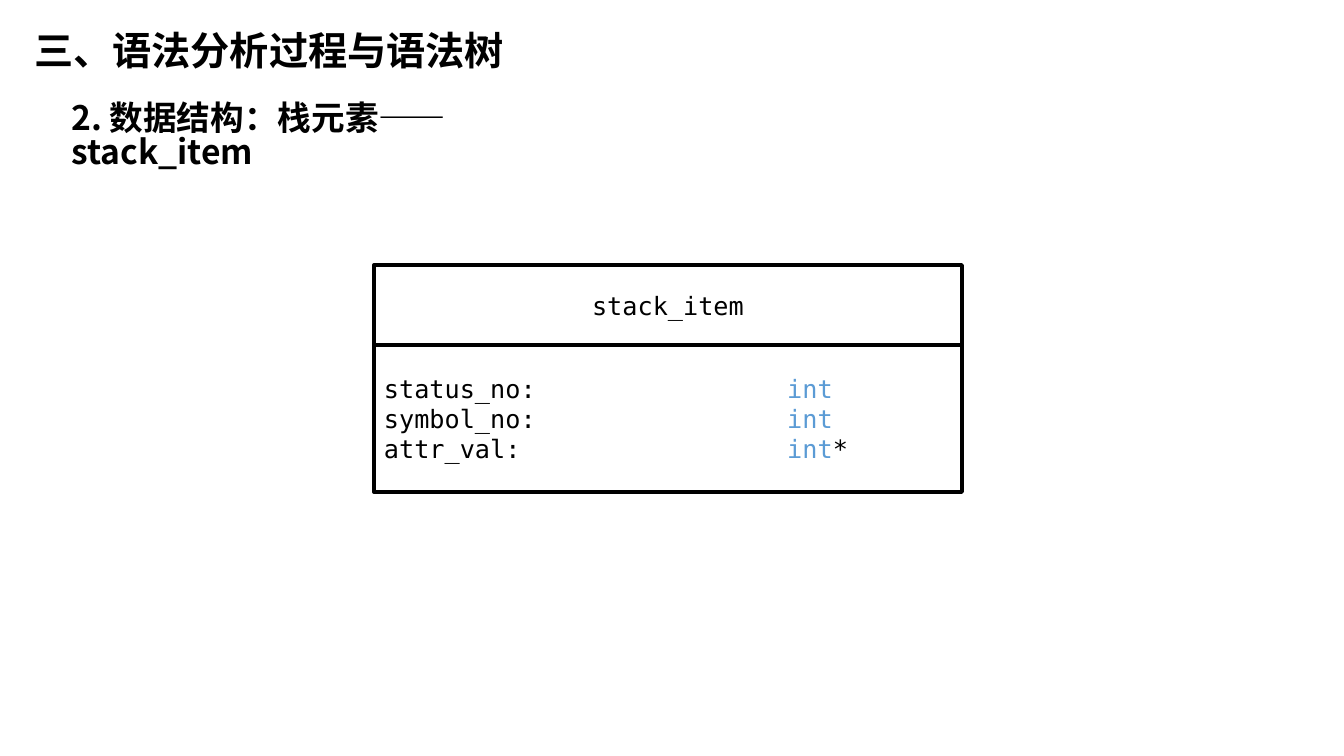
from pptx import Presentation
from pptx.dml.color import RGBColor
from pptx.enum import shapes, text
from pptx.oxml.ns import qn
from pptx.util import Inches, Pt
from lxml import etree

BLACK = RGBColor(0x00, 0x00, 0x00)
WHITE = RGBColor(0xFF, 0xFF, 0xFF)
BLUE = RGBColor(0x5B, 0x9B, 0xD5)
SANS = "Noto Sans CJK SC"
MONO = "DejaVu Sans Mono"
FIELDS = [("status_no:", ""), ("symbol_no:", ""), ("attr_val:", "*")]


def add_head(slide, words, box, size, wrap):
    """Add a bold heading in a text box."""
    frame = slide.shapes.add_textbox(*map(Inches, box)).text_frame
    frame.word_wrap = wrap
    para = frame.paragraphs[0]
    para.line_spacing = 0.85
    run = para.add_run()
    run.text = words
    font = run.font
    font.name, font.size, font.bold = SANS, Pt(size), True
    font.color.rgb = BLACK
    east = etree.SubElement(run._r.get_or_add_rPr(), qn("a:ea"))
    east.set("typeface", SANS)


def add_cell(group, top, height):
    """Add one outlined compartment and return its text frame."""
    cell = group.shapes.add_shape(
        shapes.MSO_SHAPE.RECTANGLE,
        Inches(3.71), Inches(top), Inches(5.83), Inches(height))
    cell.shadow.inherit = False
    cell.fill.solid()
    cell.fill.fore_color.rgb = WHITE
    cell.line.color.rgb = BLACK
    cell.line.width = Pt(3)
    frame = cell.text_frame
    frame.vertical_anchor = text.MSO_ANCHOR.MIDDLE
    return frame


def style(para, align):
    """Set the code font and alignment of a paragraph."""
    para.alignment = align
    para.font.name, para.font.size = MONO, Pt(18)
    para.font.color.rgb = BLACK


def add_field(para, name, mark):
    """Write a field name, its type and an optional pointer mark."""
    style(para, text.PP_ALIGN.LEFT)
    tabs = etree.Element(qn("a:tabLst"))
    for stop in (2, 3, 4):
        etree.SubElement(tabs, qn("a:tab"), pos=str(Inches(stop)), algn="l")
    para._p.get_or_add_pPr().insert(0, tabs)
    for words, color in ((name + "\t\t\t", BLACK), ("int", BLUE), (mark, BLACK)):
        if words:
            run = para.add_run()
            run.text = words
            run.font.color.rgb = color


def main():
    """Build the slide and save it."""
    deck = Presentation()
    deck.slide_width, deck.slide_height = Inches(13.33), Inches(7.5)
    slide = deck.slides.add_slide(deck.slide_layouts[6])
    add_head(slide, "三、语法分析过程与语法树", (0.24, 0.28, 4.94, 0.57), 28, False)
    add_head(slide, "2. 数据结构：栈元素——stack_item",
             (0.61, 0.97, 5.53, 0.5), 24, True)
    group = slide.shapes.add_group_shape()
    name = add_cell(group, 2.63, 0.79).paragraphs[0]
    name.text = "stack_item"
    style(name, text.PP_ALIGN.CENTER)
    body = add_cell(group, 3.42, 1.46)
    for i, field in enumerate(FIELDS):
        add_field(body.add_paragraph() if i else body.paragraphs[0], *field)
    deck.save("out.pptx")


if __name__ == "__main__":
    main()
